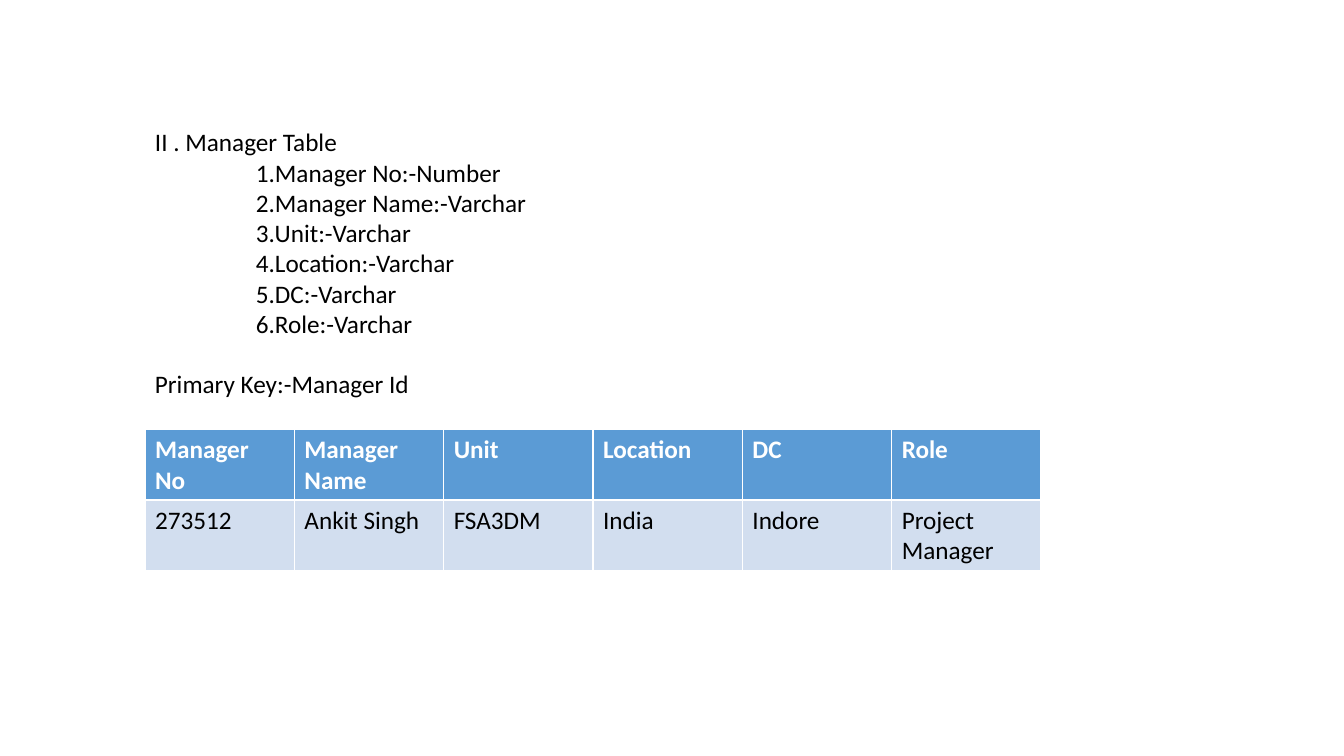
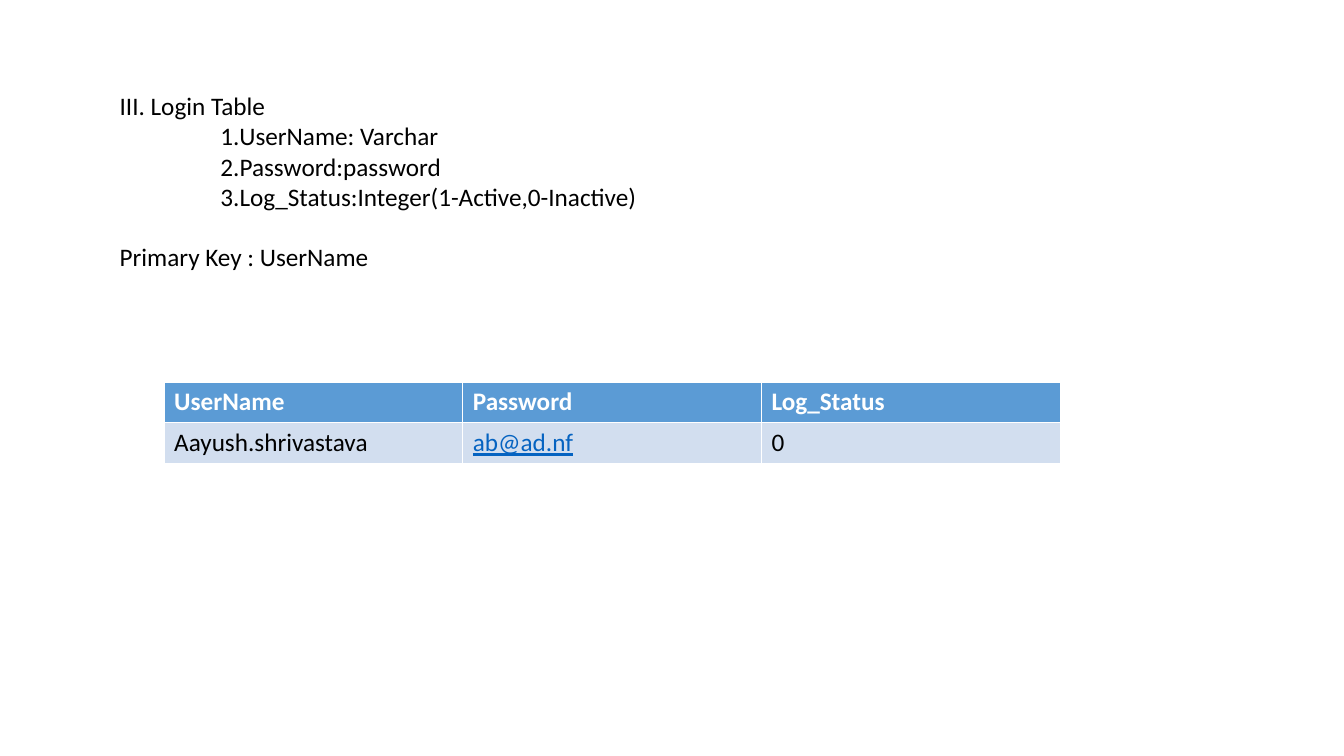
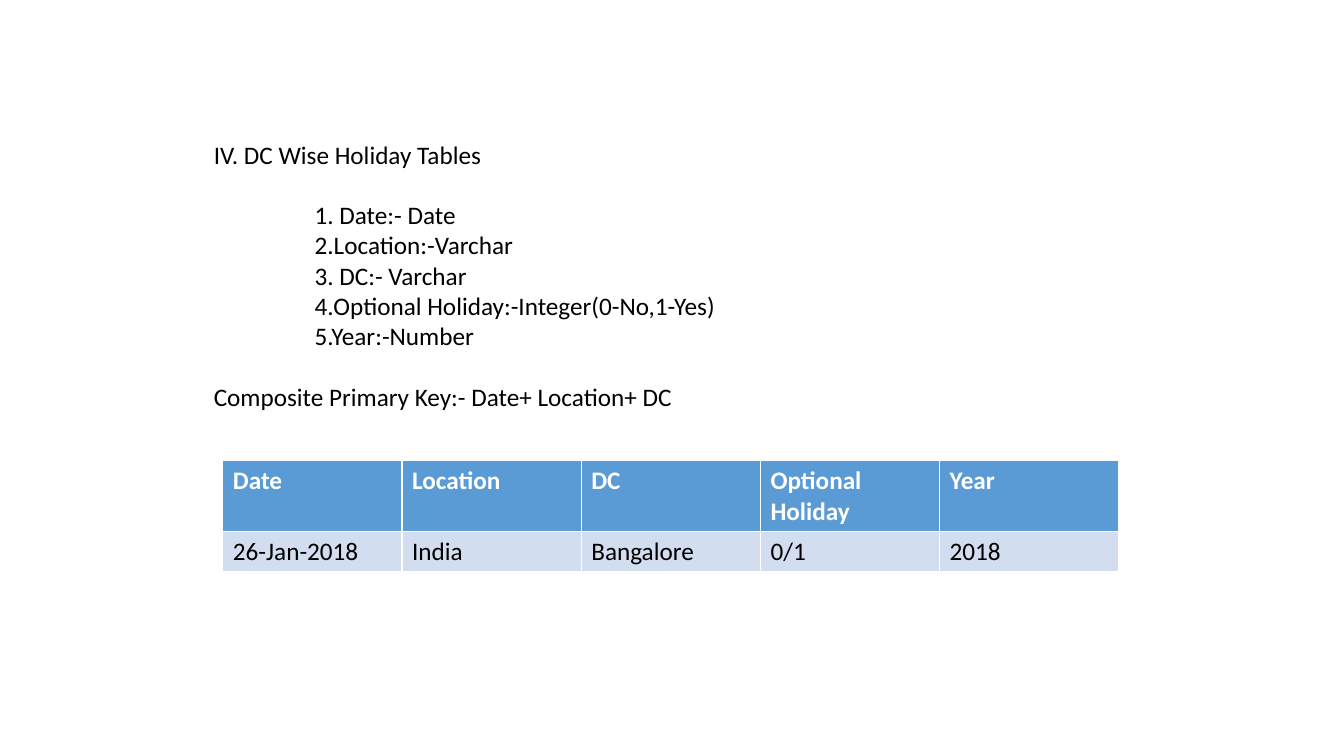
from pptx import Presentation
from pptx.dml.color import RGBColor
from pptx.enum.text import MSO_AUTO_SIZE
from pptx.util import Inches, Pt

GROW = MSO_AUTO_SIZE.SHAPE_TO_FIT_TEXT
HUES = {"ink": "000000", "head": "5B9BD5", "body": "D2DEEF",
        "white": "FFFFFF", "link": "0563C1"}
FONT, SIZE = "Calibri", Pt(18)

deck = Presentation()
deck.slide_width, deck.slide_height = Inches(13.33), Inches(7.5)
COL = deck.slide_width / 24
ROW = deck.slide_height / 25
WIDE, TALL = 16, 1.35


def style(para, hue, bold=False, under=False):
    for run in para.runs:
        font = run.font
        font.name, font.size = FONT, SIZE
        font.bold, font.underline = bold, under
        font.color.rgb = RGBColor.from_string(HUES[hue])


pages = [
    {
        "title": "II . Manager Table",
        "fields": ["1.Manager No:-Number", "2.Manager Name:-Varchar",
                   "3.Unit:-Varchar", "4.Location:-Varchar",
                   "5.DC:-Varchar", "6.Role:-Varchar"],
        "key": "Primary Key:-Manager Id",
        "gap": 0,
        "text": (2.59, 4.03, 18.52, 10.43),
        "grid": (2.59, 14.2),
        "cells": [["Manager No", "Manager Name", "Unit", "Location", "DC", "Role"],
                  ["273512", "Ankit Singh", "FSA3DM", "India", "Indore",
                   "Project Manager"]],
    },
    {
        "title": "III. Login Table",
        "fields": ["1.UserName: Varchar", "2.Password:password",
                   "3.Log_Status:Integer(1-Active,0-Inactive)"],
        "key": "Primary Key : UserName",
        "gap": 0,
        "text": (1.96, 2.83, 19.53, 8.4),
        "grid": (2.93, 12.63),
        "cells": [["UserName", "Password", "Log_Status"],
                  ["Aayush.shrivastava", "ab@ad.nf", "0"]],
    },
    {
        "title": "IV. DC Wise Holiday Tables",
        "fields": ["1. Date:- Date", "2.Location:-Varchar", "3. DC:- Varchar",
                   "4.Optional Holiday:-Integer(0-No,1-Yes)", "5.Year:-Number"],
        "key": "Composite Primary Key:- Date+ Location+ DC",
        "gap": ROW,
        "text": (3.64, 4.43, 20.36, 9.43),
        "grid": (3.98, 15.23),
        "cells": [["Date", "Location", "DC", "Optional Holiday", "Year"],
                  ["26-Jan-2018", "India", "Bangalore", "0/1", "2018"]],
    },
]

for page in pages:
    slide = deck.slides.add_slide(deck.slide_layouts[6])

    left, top, width, height = page["text"]
    box = slide.shapes.add_textbox(int(left * COL), int(top * ROW),
                                   int(width * COL), int(height * ROW))
    frame = box.text_frame
    frame.word_wrap = True
    frame.auto_size = GROW
    frame.text = "\n".join([page["title"], *page["fields"], page["key"]])
    paras = frame.paragraphs
    for para in paras:
        style(para, "ink")
    for para in paras[1:-1]:
        para._p.get_or_add_pPr().set("marL", str(Inches(1)))
    paras[0].space_after = int(page["gap"])
    paras[-1].space_before = int(ROW)

    cells = page["cells"]
    count = len(cells[0])
    left, top = page["grid"]
    table = slide.shapes.add_table(len(cells), count, int(left * COL),
                                   int(top * ROW), int(WIDE * COL),
                                   int(TALL * len(cells) * ROW)).table
    for r, line in enumerate(cells):
        for c, word in enumerate(line):
            cell = table.cell(r, c)
            cell.text = word
            cell.fill.solid()
            cell.fill.fore_color.rgb = RGBColor.from_string(
                HUES["body" if r else "head"])
            link = "@" in word
            hue = "link" if link else "ink" if r else "white"
            style(cell.text_frame.paragraphs[0], hue, r == 0, link)

deck.save("out.pptx")
